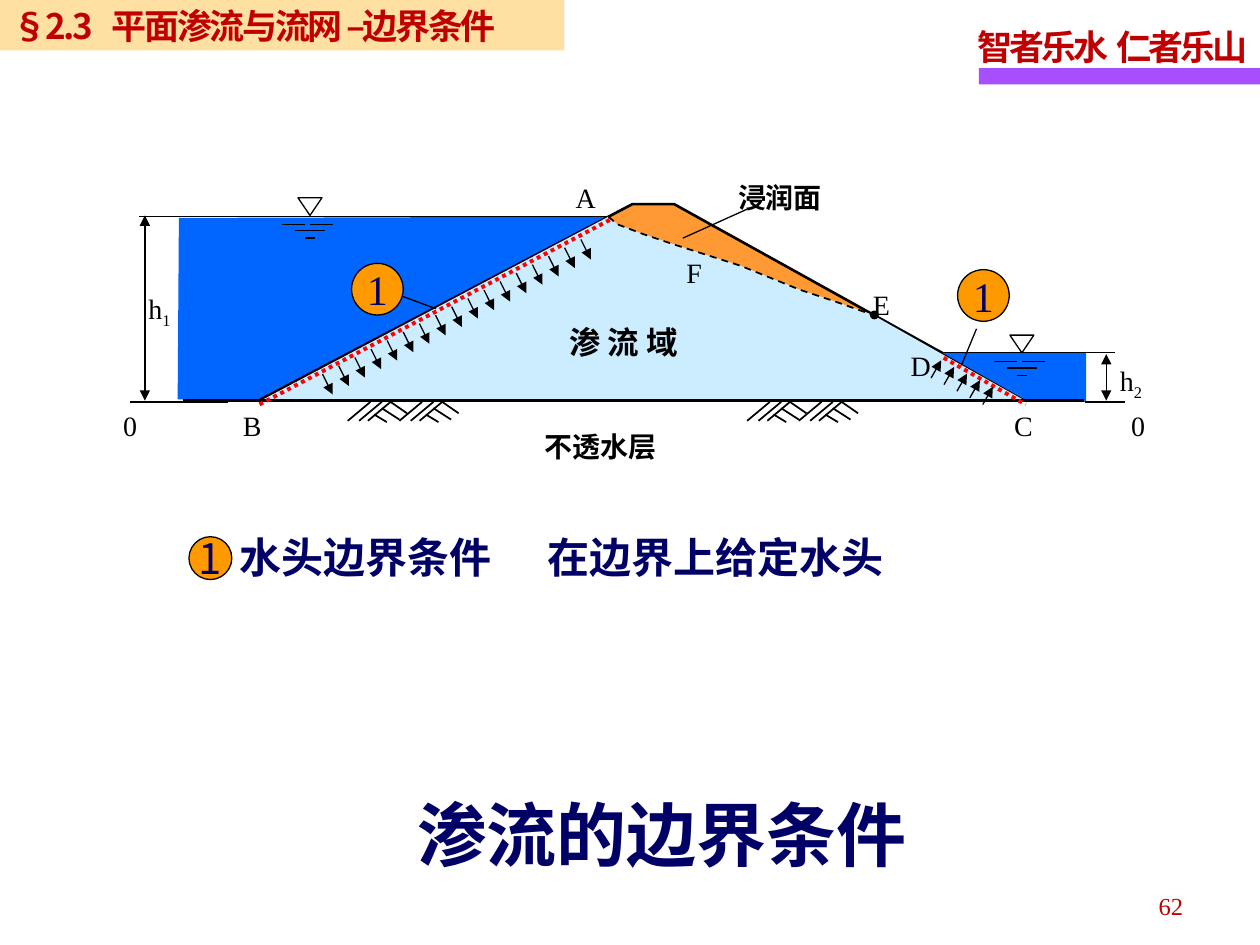
from dataclasses import dataclass

from lxml import etree
from pptx import Presentation
from pptx import util as u
from pptx.dml.color import RGBColor
from pptx.enum import dml, shapes, text
from pptx.oxml import ns


@dataclass(frozen=True)
class Theme:
    serif: str = "Times New Roman"
    sans: str = "Noto Sans CJK SC"
    ink: str = "000000"
    navy: str = "000066"
    heading: str = "C00000"
    purple: str = "A74FFF"
    banner: str = "FFCC66"
    badge: str = "FF9900"
    water: str = "0066FF"
    dry: str = "FF9933"
    wet: str = "CCECFF"
    limit: str = "FF0000"
    title_size: int = 40
    caption_size: int = 24
    head_size: int = 20
    zone_size: int = 18
    label_size: int = 16
    page_size: int = 14
    thin: float = 0.75
    medium: float = 1
    bold: float = 1.5
    heavy: float = 2.25


T = Theme()
COLS, ROWS = 10, 7.5
W, H = u.Inches(10), u.Inches(7.5)


def gx(col):
    return u.Emu(round(W * col / COLS))


def gy(row):
    return u.Emu(round(H * row / ROWS))


def box(x, y, w, h):
    return gx(x), gy(y), gx(w), gy(h)


def sub(parent, tag, **attrs):
    return etree.SubElement(parent, ns.qn(tag), attrs)


def stroke(line, color, width, dash=None):
    line.color.rgb = RGBColor.from_string(color)
    line.width = u.Pt(width)
    if dash:
        line.dash_style = dash


def paint(sp, fill=None, width=None, dash=None):
    sp.shadow.inherit = False
    if fill:
        sp.fill.solid()
        sp.fill.fore_color.rgb = RGBColor.from_string(fill)
    else:
        sp.fill.background()
    if width:
        stroke(sp.line, T.ink, width, dash)
    else:
        sp.line.fill.background()


def preset(s, kind, at, fill=None, width=None):
    sp = s.shapes.add_shape(kind, *box(*at))
    paint(sp, fill, width)
    return sp


def outline(s, points, fill=None, width=None, dash=None, close=True):
    pts = [(gx(x), gy(y)) for x, y in points]
    fb = s.shapes.build_freeform(*pts[0])
    fb.add_line_segments(pts[1:], close=close)
    sp = fb.convert_to_shape()
    paint(sp, fill, width, dash)


def line(s, x1, y1, x2, y2, width=T.thin, color=T.ink, dash=None, ends=()):
    c = s.shapes.add_connector(shapes.MSO_CONNECTOR.STRAIGHT,
                               gx(x1), gy(y1), gx(x2), gy(y2))
    stroke(c.line, color, width, dash)
    ln = c.line._get_or_add_ln()
    for end in ends:
        sub(ln, end, type="triangle")
    sub(c._element.spPr, "a:effectLst")


def write(sp, runs, size, color, font=T.serif, bold=False, spc=0, tab=None,
          align=text.PP_ALIGN.LEFT, anchor=text.MSO_ANCHOR.TOP, spacing=None,
          wrap=True, inset=(0.1, 0.05)):
    """Fill a shape with one paragraph; each run is (words, baseline shift)."""
    tf = sp.text_frame
    tf.word_wrap = wrap
    tf.auto_size = text.MSO_AUTO_SIZE.NONE
    tf.vertical_anchor = anchor
    tf.margin_left = tf.margin_right = gx(inset[0])
    tf.margin_top = tf.margin_bottom = gy(inset[1])
    p = tf.paragraphs[0]
    if tab:
        tabs = sub(p._p.get_or_add_pPr(), "a:tabLst")
        sub(tabs, "a:tab", pos=str(gx(tab)), algn="l")
    p.alignment = align
    if spacing:
        p.line_spacing = spacing
    for words, shift in runs:
        r = p.add_run()
        r.text = words
        r.font.name, r.font.size, r.font.bold = font, u.Pt(size), bold
        r.font.color.rgb = RGBColor.from_string(color)
        rPr = r._r.get_or_add_rPr()
        sub(rPr, "a:ea", typeface=T.sans)
        if spc:
            rPr.set("spc", str(spc))
        if shift:
            rPr.set("baseline", str(shift))


def note(s, at, runs, size, color=T.ink, **style):
    write(s.shapes.add_textbox(*box(*at)), runs, size, color, **style)


def badge(s, x, y, d, font=T.serif):
    sp = preset(s, shapes.MSO_SHAPE.OVAL, (x, y, d, d), T.badge, T.thin)
    write(sp, [("1", 0)], T.caption_size, T.navy, font, wrap=False, inset=(0, 0),
          align=text.PP_ALIGN.CENTER, anchor=text.MSO_ANCHOR.MIDDLE)


def water_mark(s, cx, y):
    sp = preset(s, shapes.MSO_SHAPE.ISOSCELES_TRIANGLE,
                (cx - 0.095, y - 0.14, 0.19, 0.14), width=T.thin)
    sp.rotation = 180
    for x1, x2, dy in ((-0.22, -0.04, 0.07), (0, 0.18, 0.07),
                       (-0.12, 0.12, 0.12), (-0.04, 0.04, 0.18)):
        line(s, cx + x1, y + dy, cx + x2, y + dy)


def ground_hatch(s, left, top):
    strokes = ((0.18, 0, 0, 0.15), (0.34, 0, 0.16, 0.15), (0.27, 0, 0.09, 0.15),
               (0.27, 0.05, 0.41, 0.14), (0.21, 0.1, 0.31, 0.16),
               (0.34, 0, 0.47, 0.09))
    for x in (left, left + 0.41):
        for x1, y1, x2, y2 in strokes:
            line(s, x + x1, top + y1, x + x2, top + y2, T.medium)


def flow_arrows(s, first, last, count, dx, dy):
    for i in range(count):
        x, y = (a + (b - a) * i / (count - 1) for a, b in zip(first, last))
        line(s, x, y, x + dx, y + dy, ends=("a:tailEnd",))


def page_frame(s):
    preset(s, shapes.MSO_SHAPE.RECTANGLE, (7.77, 0.54, 2.23, 0.13), T.purple)
    note(s, (7.66, 0.1, 2.36, 0.46), [("智者乐水", 0), ("\t", 0), ("仁者乐山", 0)],
         T.head_size, T.heading, bold=True, spc=-170, tab=1.1, spacing=1.15,
         wrap=False)
    bar = preset(s, shapes.MSO_SHAPE.RECTANGLE, (0, 0, 4.48, 0.4), T.banner)
    sub(bar.fill._xPr.find(".//" + ns.qn("a:srgbClr")), "a:alpha", val="60000")
    write(bar, [("§2.3", 0), ("\t", 0), ("平面渗流与流网 –边界条件", 0)],
          T.head_size, T.heading, T.sans, bold=True, spc=-140, tab=0.79,
          anchor=text.MSO_ANCHOR.MIDDLE)
    note(s, (7.16, 6.99, 2.33, 0.37), [("62", 0)], T.page_size, T.heading,
         align=text.PP_ALIGN.RIGHT, spacing=1.15)


def dam(s):
    # Water bodies, dry crest and seepage zone
    seepage = [(4.83, 1.72), (4.9, 1.78), (5.11, 1.86), (5.38, 1.95), (5.88, 2.11),
               (6.35, 2.3), (6.62, 2.39), (6.93, 2.5)]
    outline(s, [(1.42, 1.73), (4.82, 1.72), (2.03, 3.18), (1.41, 3.17)], T.water)
    outline(s, [(2.05, 3.18), (5.02, 1.62), (5.35, 1.62), (8.16, 3.18)],
            T.dry, T.bold, close=False)
    outline(s, [(2.09, 3.17), *seepage, (6.98, 2.53), (8.13, 3.18)], T.wet)
    outline(s, [(7.48, 2.8), (8.62, 2.8), (8.62, 3.19), (8.17, 3.19)], T.water)
    outline(s, seepage, width=T.medium, dash=dml.MSO_LINE.DASH, close=False)
    # Base, water levels and datum 0-0
    line(s, 1.45, 3.18, 8.6, 3.18, T.bold)
    for x1, x2, y in ((1.1, 4.82, 1.72), (7.49, 8.85, 2.8),
                      (1.03, 1.81, 3.19), (8.61, 8.93, 3.19)):
        line(s, x1, y, x2, y)
    for x, top in ((1.15, 1.71), (8.78, 2.81)):
        line(s, x, top, x, 3.18, ends=("a:headEnd", "a:tailEnd"))
    water_mark(s, 2.46, 1.71)
    water_mark(s, 8.11, 2.8)
    for left in (2.76, 5.93):
        ground_hatch(s, left, 3.19)
    preset(s, shapes.MSO_SHAPE.OVAL, (6.91, 2.47, 0.06, 0.06), T.ink, T.thin)


def head_boundaries(s):
    for ends in ((2.06, 3.21, 4.85, 1.74), (7.49, 2.84, 8.14, 3.21)):
        line(s, *ends, T.heavy, T.limit, dml.MSO_LINE.ROUND_DOT)
    flow_arrows(s, (2.56, 2.97), (4.61, 1.9), 17, 0.08, 0.16)
    flow_arrows(s, (7.39, 3), (7.8, 3.21), 5, 0.08, -0.14)
    # Leaders and numbered badges
    for ends in ((5.42, 1.89, 5.93, 1.66), (7.75, 2.61, 7.63, 2.9),
                 (3.19, 2.35, 3.46, 2.45)):
        line(s, *ends)
    badge(s, 7.6, 2.14, 0.41)
    badge(s, 2.79, 2.09, 0.41)


def labels(s):
    for x, y, name, index in (
            (4.47, 1.34, "A", ""), (1.83, 3.15, "B", ""), (7.95, 3.15, "C", ""),
            (7.13, 2.68, "D", ""), (6.83, 2.19, "E", ""), (5.35, 1.94, "F", ""),
            (0.88, 3.15, "0", ""), (8.88, 3.15, "0", ""),
            (1.08, 2.22, "h", "1"), (8.79, 2.79, "h", "2")):
        runs = [(name, 0)] + ([(index, -25000)] if index else [])
        note(s, (x, y, 0.5, 0.41), runs, T.label_size, spacing=1.15)
    for x, y, w, words in ((3.97, 3.33, 1.59, "不透水层"), (5.64, 1.35, 1.1, "浸润面")):
        note(s, (x, y, w, 0.34), [(words, 0)], T.label_size, bold=True, spacing=1.15,
             align=text.PP_ALIGN.CENTER, inset=(0, 0.04))
    note(s, (4.42, 2.47, 1.65, 0.42), [("渗 流 域", 0)], T.zone_size, bold=True,
         spacing=1.15)


def main():
    prs = Presentation()
    prs.slide_width, prs.slide_height = W, H
    s = prs.slides.add_slide(prs.slide_layouts.get_by_name("Title Only"))
    title = s.shapes.title
    title.left, title.top, title.width, title.height = box(3.21, 6.23, 4.3, 0.77)
    write(title, [("渗流的边界条件", 0)], T.title_size, T.navy, T.sans, bold=True)
    # Caption under the diagram
    note(s, (1.8, 4.17, 6.35, 0.5),
         [("水头边界条件", 0), ("\t", 0), ("在边界上给定水头", 0)],
         T.caption_size, T.navy, bold=True, tab=2.45)
    badge(s, 1.5, 4.26, 0.34, T.sans)
    dam(s)
    head_boundaries(s)
    labels(s)
    page_frame(s)
    prs.save("out.pptx")


if __name__ == "__main__":
    main()
